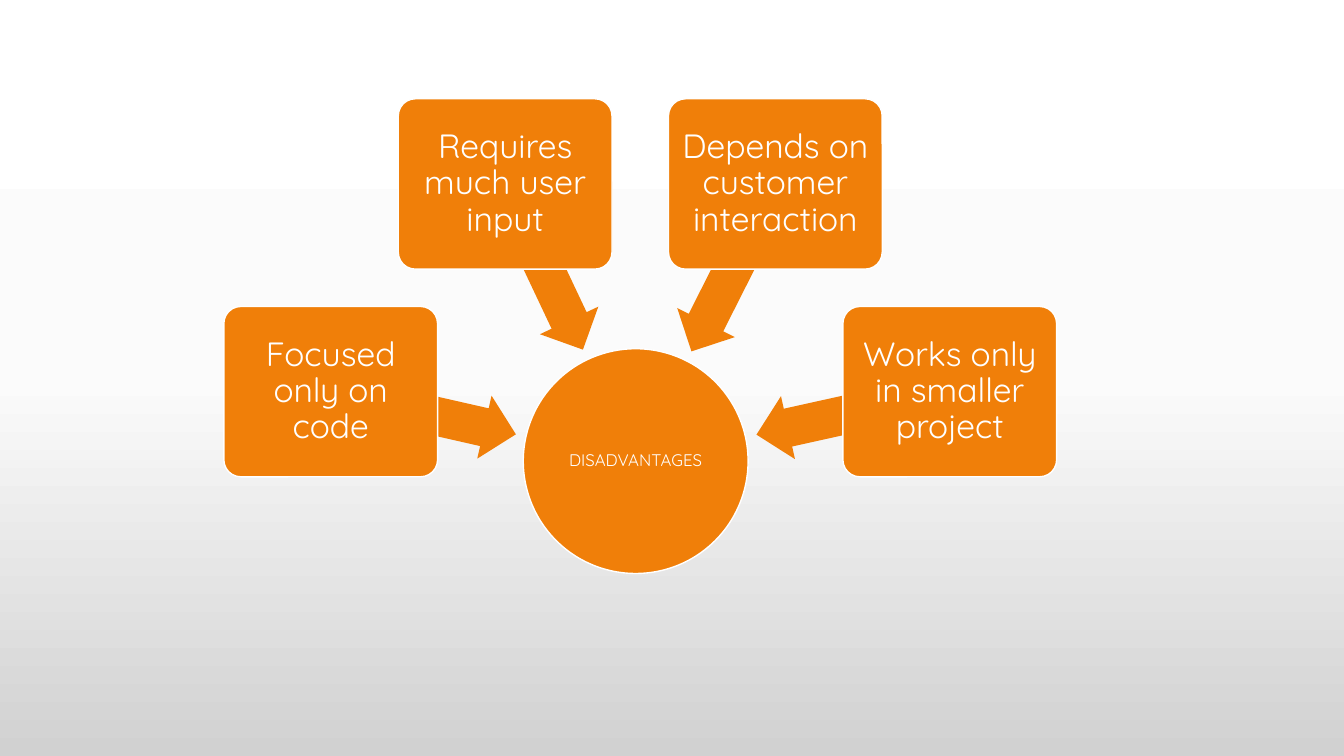
from copy import deepcopy
from dataclasses import dataclass

from pptx import Presentation
from pptx.dml.color import RGBColor
from pptx.enum.shapes import MSO_SHAPE as SHAPE
from pptx.enum.text import MSO_ANCHOR as ANCHOR, PP_ALIGN as ALIGN
from pptx.oxml.ns import qn
from pptx.shapes.autoshape import Shape
from pptx.slide import Slide
from pptx.util import Inches, Pt

ORANGE = RGBColor(0xF0, 0x7F, 0x09)
WHITE = RGBColor(0xFF, 0xFF, 0xFF)
OFF_WHITE = RGBColor(0xFB, 0xFB, 0xFB)
GREY = RGBColor(0xD1, 0xD1, 0xD1)
BACKGROUND_STOPS = [(0, WHITE), (0.5, OFF_WHITE), (1, GREY)]

FONT = "Quicksand"
CARD_W, CARD_H = 2.12, 1.69
ARROW_H = 0.64
HUB_SIZE = 2.23


@dataclass
class Arrow:
    left: float
    top: float
    width: float
    rotation: float


@dataclass
class Drawback:
    text: str
    left: float
    top: float
    arrow: Arrow


DRAWBACKS = [
    Drawback("Focused only on code", 2.22, 3.04, Arrow(3.26, 3.78, 1.88, 192.8)),
    Drawback("Requires much user input", 3.95, 0.98, Arrow(4.49, 2.33, 1.81, 244.7)),
    Drawback("Depends on customer interaction", 6.63, 0.98, Arrow(6.35, 2.34, 1.85, 296.8)),
    Drawback("Works only in smaller project", 8.36, 3.04, Arrow(7.48, 3.78, 1.96, 347.5)),
]


def set_background(s: Slide) -> None:
    fill = s.background.fill
    fill.gradient()
    fill.gradient_angle = 270
    stops = s.element.find(".//" + qn("a:gsLst"))
    stops.insert(1, deepcopy(stops[0]))
    for stop, (position, color) in zip(fill.gradient_stops, BACKGROUND_STOPS):
        stop.position = position
        stop.color.rgb = color


def add_orange_shape(s: Slide, kind: SHAPE, left: float, top: float,
                     width: float, height: float) -> Shape:
    sp = s.shapes.add_shape(kind, Inches(left), Inches(top), Inches(width), Inches(height))
    sp.shadow.inherit = False
    sp.fill.solid()
    sp.fill.fore_color.rgb = ORANGE
    sp.line.fill.background()
    return sp


def add_label(sp: Shape, text: str, size: float, inset: float) -> None:
    """Give the shape a white outline and centred white text."""
    sp.line.color.rgb = WHITE
    sp.line.width = Pt(1)
    tf = sp.text_frame
    margins = {f"margin_{side}": Inches(inset) for side in ("left", "top", "right", "bottom")}
    frame_format = {"word_wrap": True, "vertical_anchor": ANCHOR.MIDDLE, **margins}
    p = tf.paragraphs[0]
    r = p.add_run()
    r.text = text
    r.font.color.rgb = WHITE
    for target, values in (
        (tf, frame_format),
        (p, {"alignment": ALIGN.CENTER, "line_spacing": 0.9}),
        (r.font, {"name": FONT, "size": Pt(size)}),
    ):
        for name, value in values.items():
            setattr(target, name, value)


def add_drawback(s: Slide, item: Drawback) -> None:
    a = item.arrow
    arrow = add_orange_shape(s, SHAPE.LEFT_ARROW, a.left, a.top, a.width, ARROW_H)
    arrow.adjustments[0] = 0.6
    arrow.adjustments[1] = 0.5
    arrow.rotation = a.rotation
    card = add_orange_shape(s, SHAPE.ROUNDED_RECTANGLE, item.left, item.top, CARD_W, CARD_H)
    card.adjustments[0] = 0.1
    add_label(card, item.text, 24, 0.05)


def main() -> None:
    prs = Presentation()
    prs.slide_width, prs.slide_height = Inches(13.33), Inches(7.5)
    s = prs.slides.add_slide(prs.slide_layouts[6])
    set_background(s)
    hub = add_orange_shape(s, SHAPE.OVAL, 5.19, 3.46, HUB_SIZE, HUB_SIZE)
    add_label(hub, "DISADVANTAGES", 12, 0.01)
    for item in DRAWBACKS:
        add_drawback(s, item)
    prs.save("out.pptx")


if __name__ == "__main__":
    main()
